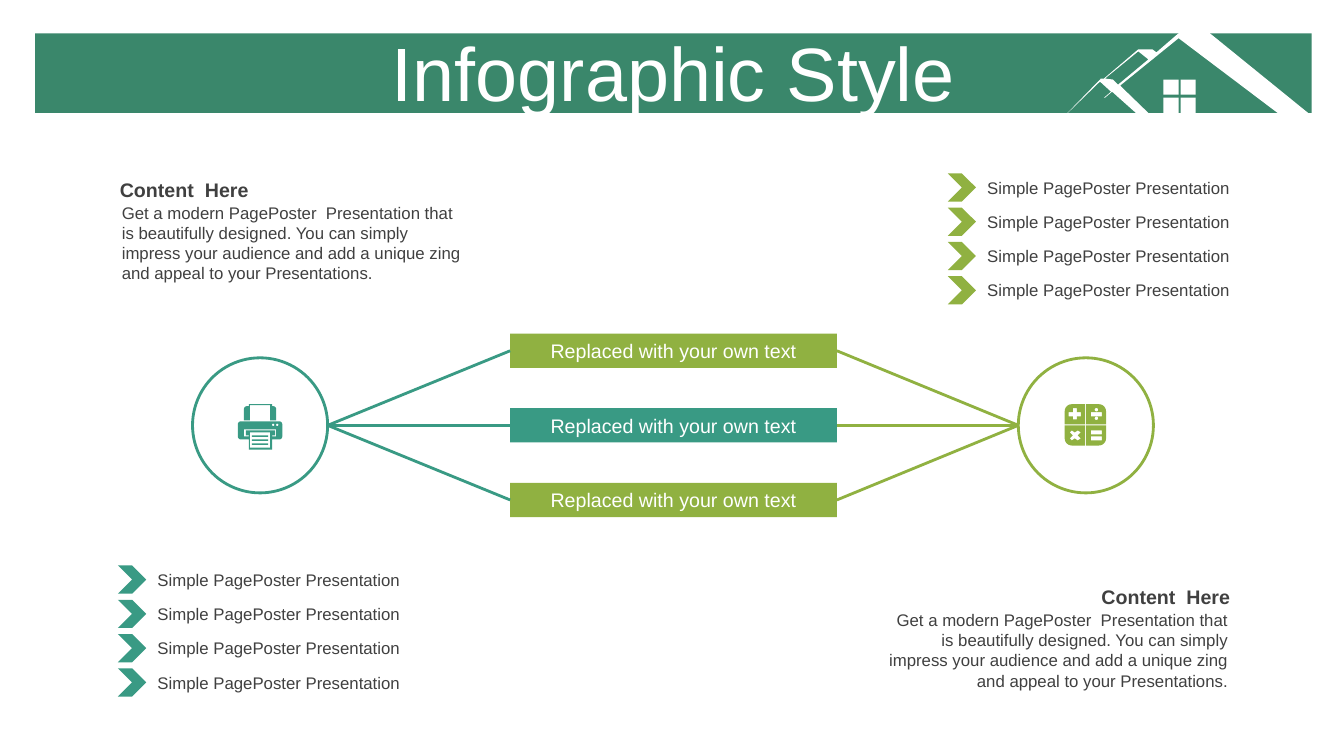
from math import cos, radians, sin
from lxml.etree import SubElement
from pptx import Presentation
from pptx.dml.color import RGBColor
from pptx.enum.shapes import MSO_CONNECTOR, MSO_SHAPE
from pptx.enum.text import MSO_ANCHOR, PP_ALIGN
from pptx.oxml.ns import qn
from pptx.util import Inches, Pt

COLORS = {"banner": "3A876B", "teal": "399A84", "green": "90B141", "text": "404040", "white": "FFFFFF"}
ITEM = "Simple PagePoster Presentation"
HEADING = "Content  Here"
BODY = ("Get a modern PagePoster  Presentation that is beautifully designed. You can simply "
        "impress your audience and add a unique zing and appeal to your Presentations.")


def color(name):
    return RGBColor.from_string(COLORS[name])


def rect(left, top, right, bottom):
    return [(left, top), (right, top), (right, bottom), (left, bottom)]


def arc(x, y, radius, start, sweep=90):
    steps = sweep // 15
    angles = [radians(start + sweep * step / steps) for step in range(steps + 1)]
    return [(x + radius * cos(angle), y + radius * sin(angle)) for angle in angles]


def dot(x, y, radius):
    return arc(x, y, radius, 0, 360)


class InfographicSlide:
    """Hold the style and current slide, and draw each kind of element."""

    def __init__(self, deck):
        self.page = deck.slides.add_slide(deck.slide_layouts[6])
        self.font = "Arial"

    def paint(self, shape, fill, line=None):
        shape.shadow.inherit = False
        shape.fill.solid()
        shape.fill.fore_color.rgb = color(fill)
        if line:
            shape.line.color.rgb = color(line)
            shape.line.width = Pt(2)
        else:
            shape.line.fill.background()
        return shape

    def shape(self, kind, left, top, width, height, fill, line=None):
        shape = self.page.shapes.add_shape(
            kind, Inches(left), Inches(top), Inches(width), Inches(height))
        return self.paint(shape, fill, line)

    def label(self, box, text, size, ink="text", align=PP_ALIGN.CENTER,
              anchor=MSO_ANCHOR.TOP, bold=False, spacing=1.0):
        frame = box.text_frame
        frame.word_wrap = True
        frame.vertical_anchor = anchor
        para = frame.paragraphs[0]
        para.alignment = align
        para.line_spacing = spacing
        span = para.add_run()
        span.text = text
        for key, value in {"name": self.font, "size": Pt(size), "bold": bold}.items():
            setattr(span.font, key, value)
        span.font.color.rgb = color(ink)

    def text(self, left, top, width, height, text, size, **style):
        box = self.page.shapes.add_textbox(
            Inches(left), Inches(top), Inches(width), Inches(height))
        self.label(box, text, size, **style)

    def connector(self, band, side, x, y, line):
        link = self.page.shapes.add_connector(
            MSO_CONNECTOR.STRAIGHT, 0, 0, Inches(x), Inches(y))
        link.begin_connect(band, side)
        link.line.color.rgb = color(line)
        link.line.width = Pt(2)
        SubElement(link._element.spPr, qn("a:effectLst"))

    def outline(self, contours, fill):
        scaled = [[(x * 100, y * 100) for x, y in contour] for contour in contours]
        builder = self.page.shapes.build_freeform(*scaled[0][0], scale=Inches(1) / 10000)
        builder.add_line_segments(scaled[0][1:], close=True)
        for contour in scaled[1:]:
            builder.move_to(*contour[0])
            builder.add_line_segments(contour[1:], close=True)
        self.paint(builder.convert_to_shape(), fill)

    def bullet_list(self, left, top, fill):
        for row in range(4):
            y = top + 0.34 * row
            self.shape(MSO_SHAPE.CHEVRON, left, y, 0.28, 0.28, fill)
            self.text(left + 0.27, y - 0.01, 2.65, 0.3, ITEM, 12)

    def content(self, left, top, body_left, width, align):
        self.text(left, top, width + 0.02, 0.34, HEADING, 14, align=align,
                  anchor=MSO_ANCHOR.MIDDLE, bold=True)
        self.text(body_left, top + 0.25, width, 0.91, BODY, 12, align=align)


def house():
    panes = [rect(x, y, x + 15, y + 15) for y in (97, 79) for x in (1171, 1154)]
    gable = [(1129, 51), (1096, 78), (1104, 79), (1109, 84), (1139, 59)]
    roof = [(1169, 33), (1200, 33), (1301, 115), (1271, 115), (1169, 38), (1111, 85),
            (1143, 116), (1131, 116), (1103, 91), (1096, 97), (1095, 97), (1102, 91),
            (1091, 81), (1055, 116), (1056, 115), (1092, 78), (1095, 78), (1129, 49),
            (1143, 49), (1147, 52)]
    return panes + [gable, roof]


def calculator():
    keys = [
        arc(1063, 408, 7, 180) + [(1076, 401), (1076, 421), (1056, 421)],
        arc(1090, 408, 7, 270) + [(1097, 421), (1077, 421), (1077, 401)],
        arc(1090, 435, 7, 0) + [(1077, 442), (1077, 422), (1097, 422)],
        arc(1063, 435, 7, 90) + [(1056, 422), (1076, 422), (1076, 442)],
    ]
    bars = [rect(1082, y, 1093, y + 4) for y in (409, 427, 433)]
    dots = [dot(1087.5, y, 1.75) for y in (406.5, 415)]
    plus = [(1064, 405), (1068, 405), (1068, 409), (1072, 409), (1072, 413), (1068, 413),
            (1068, 416), (1064, 416), (1064, 413), (1060, 413), (1060, 409), (1064, 409)]
    times = [(1063, 427), (1061, 429), (1064, 432), (1061, 435), (1063, 437), (1066, 435),
             (1069, 437), (1072, 435), (1069, 432), (1072, 429), (1069, 427), (1066, 429)]
    return keys + bars + dots + [plus, times]


def printer():
    case = (arc(239, 421, 3, 180) + arc(277, 421, 3, 270) + arc(277, 433, 3, 0)
            + [(270, 436), (270, 446), (247, 446), (247, 436)] + arc(239, 433, 3, 90))
    slot = [(242, 426), (242, 433), (247, 433), (247, 432), (244, 432), (244, 427),
            (273, 427), (273, 432), (270, 432), (270, 433), (274, 433), (274, 426)]
    feed = ([(247, 401), (270, 401), (270, 403)] + arc(271, 406, 3, 270)
            + [(274, 417), (268, 417), (268, 402), (248, 402), (248, 417), (242, 417)]
            + arc(245, 406, 3, 180) + [(247, 403)])
    lines = [rect(250, y, 266, y + 1.5) for y in (432, 436, 440)]
    lights = [dot(x, 421.5, 1.2) for x in (271, 275)]
    return [case, slot, feed, rect(248, 429, 268, 444)] + lines + lights


def main():
    deck = Presentation()
    deck.slide_width, deck.slide_height = Inches(13.33), Inches(7.5)
    slide = InfographicSlide(deck)

    slide.shape(MSO_SHAPE.RECTANGLE, 0.35, 0.33, 12.66, 0.79, "banner")
    slide.outline(house(), "white")
    slide.text(0.35, 0.37, 12.66, 0.79, "Infographic Style", 54, ink="white",
               anchor=MSO_ANCHOR.MIDDLE, spacing=0.9)

    for row, fill in enumerate(("green", "teal", "green")):
        band = slide.shape(MSO_SHAPE.RECTANGLE, 5.06, 3.31 + 0.74 * row, 3.24, 0.34, fill)
        slide.label(band, "Replaced with your own text", 14, ink="white",
                    anchor=MSO_ANCHOR.MIDDLE)
        slide.connector(band, 1, 3.25, 4.22, "teal")
        slide.connector(band, 3, 10.1, 4.22, "green")

    for left, line, icon in ((10.1, "green", calculator), (1.91, "teal", printer)):
        slide.shape(MSO_SHAPE.OVAL, left, 3.55, 1.34, 1.34, "white", line)
        slide.outline(icon(), line)

    slide.bullet_list(1.17, 5.61, "teal")
    slide.bullet_list(9.4, 1.72, "green")
    slide.content(1.09, 1.71, 1.11, 3.6, PP_ALIGN.LEFT)
    slide.content(8.72, 5.75, 8.72, 3.56, PP_ALIGN.RIGHT)
    deck.save("out.pptx")


if __name__ == "__main__":
    main()
